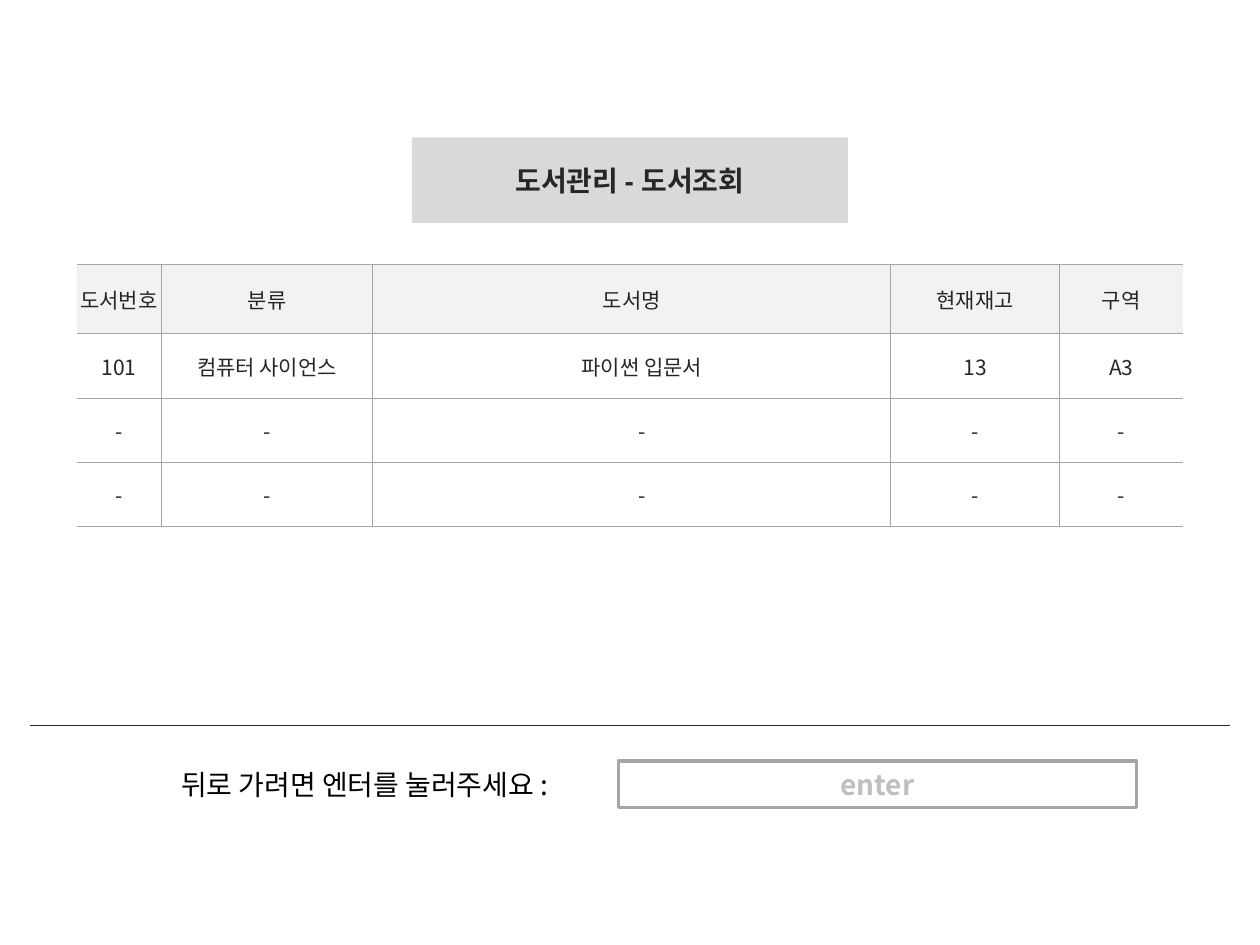
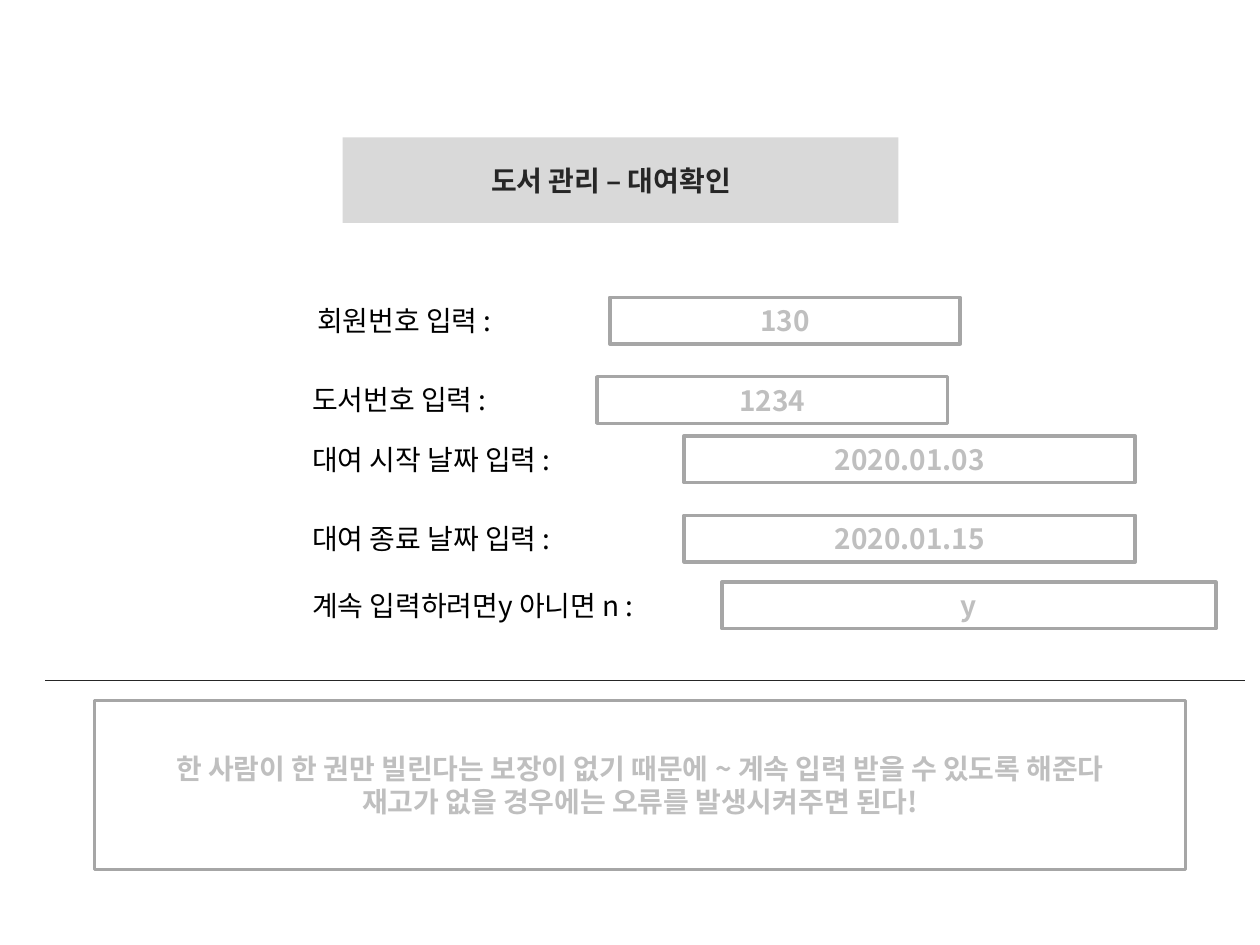
from pptx import Presentation
from pptx.dml.color import RGBColor
from pptx.enum.shapes import MSO_CONNECTOR, MSO_SHAPE
from pptx.enum.text import MSO_ANCHOR, PP_ALIGN
from pptx.oxml.ns import qn
from pptx.util import Inches, Pt
from lxml.etree import SubElement, Element

COLORS = {
    "label": "000000", "dark": "262626", "border": "A6A6A6", "hint": "BFBFBF",
    "title": "D9D9D9", "header": "F2F2F2", "white": "FFFFFF",
}
KOREAN = "Noto Sans CJK KR"


def write(frame, text, color, size=16, bold=False, align=PP_ALIGN.CENTER, latin=KOREAN):
    frame.text = text
    for paragraph in frame.paragraphs:
        paragraph.alignment = align
        for run in paragraph.runs:
            run.font.size = Pt(size)
            run.font.bold = bold
            run.font.name = latin
            run.font.color.rgb = RGBColor.from_string(COLORS[color])
            SubElement(run.font._element, qn("a:ea"), typeface=KOREAN)


def add_box(slide, place, text, fill, color, outlined=True, latin=KOREAN):
    box = slide.shapes.add_shape(MSO_SHAPE.RECTANGLE, *map(Inches, place))
    box.shadow.inherit = False
    box.fill.solid()
    box.fill.fore_color.rgb = RGBColor.from_string(COLORS[fill])
    if outlined:
        box.line.color.rgb = RGBColor.from_string(COLORS["border"])
        box.line.width = Pt(2)
    else:
        box.line.fill.background()
    box.text_frame.vertical_anchor = MSO_ANCHOR.MIDDLE
    write(box.text_frame, text, color, bold=True, latin=latin)
    return box


prs = Presentation()
prs.slide_width = Inches(10)
prs.slide_height = Inches(7.5)

screens = [
    {
        "title": ("도서관리 - 도서조회", 3.27, 3.46, 0.1),
        "divider": (0.24, 5.76),
        "fields": [("뒤로 가려면 엔터를 눌러주세요 :", 1.34, 3.56, "enter", 4.91, 4.11, 6.04)],
    },
    {
        "title": ("도서 관리 – 대여확인", 2.72, 4.41, 0.25),
        "divider": (0.36, 5.4),
        "fields": [
            ("회원번호 입력 :", 2.42, 1.83, "130", 4.84, 2.78, 2.36),
            ("도서번호 입력 :", 2.38, 1.83, "1234", 4.74, 2.78, 2.99),
            ("대여 시작 날짜 입력 :", 2.38, 2.9, "2020.01.03", 5.43, 3.58, 3.46),
            ("대여 종료 날짜 입력 :", 2.38, 2.9, "2020.01.15", 5.43, 3.58, 4.09),
            ("계속 입력하려면y 아니면 n :", 2.38, 3.3, "y", 5.73, 3.92, 4.62),
        ],
    },
]

for screen in screens:
    slide = prs.slides.add_slide(prs.slide_layouts[6])

    title, left, width, right_inset = screen["title"]
    banner = add_box(slide, (left, 1.09, width, 0.68), title, "title", "dark", False, "Arial")
    banner.text_frame.margin_right = Inches(right_inset)

    left, top = screen["divider"]
    divider = slide.shapes.add_connector(
        MSO_CONNECTOR.STRAIGHT, Inches(left), Inches(top), Inches(left + 9.52), Inches(top))
    divider.line.color.rgb = RGBColor.from_string(COLORS["dark"])
    divider.line.width = Pt(0.75)
    SubElement(divider._element.spPr, qn("a:effectLst"))

    for prompt, prompt_left, prompt_width, entry, entry_left, entry_width, top in screen["fields"]:
        label = slide.shapes.add_textbox(
            Inches(prompt_left), Inches(top), Inches(prompt_width), Inches(0.37))
        label.text_frame.word_wrap = True
        write(label.text_frame, prompt, "label", align=PP_ALIGN.LEFT)
        add_box(slide, (entry_left, top, entry_width, 0.37), entry, "white", "hint")

search_slide, rental_slide = prs.slides

books = [
    ("도서번호", "분류", "도서명", "현재재고", "구역"),
    ("101", "컴퓨터 사이언스", "파이썬 입문서", "13", "A3"),
    ("-",) * 5,
    ("-",) * 5,
]
book_table = search_slide.shapes.add_table(
    len(books), 5, Inches(0.61), Inches(2.1), Inches(8.78), Inches(2.09)).table
book_table.first_row = False
book_table.horz_banding = False
for column, width in zip(book_table.columns, (0.67, 1.68, 4.11, 1.34, 0.98)):
    column.width = Inches(width)

for r, book in enumerate(books):
    book_table.rows[r].height = Inches(0.51 if r else 0.55)
    for c, value in enumerate(book):
        cell = book_table.cell(r, c)
        cell.vertical_anchor = MSO_ANCHOR.MIDDLE
        cell.margin_right = cell.margin_top = cell.margin_bottom = 0
        cell.margin_left = Inches(0.16 if r and c == 2 else 0)
        cell.fill.solid()
        cell.fill.fore_color.rgb = RGBColor.from_string(COLORS["white" if r else "header"])
        write(cell.text_frame, value, "dark", size=12)
        properties = cell._tc.get_or_add_tcPr()
        for position, edge in enumerate(("lnL", "lnR", "lnT", "lnB")):
            border = Element(qn(f"a:{edge}"), w=str(Pt(0.75)))
            if (edge, c) in (("lnL", 0), ("lnR", 4)):
                SubElement(border, qn("a:noFill"))
            else:
                ink = SubElement(border, qn("a:solidFill"))
                SubElement(ink, qn("a:srgbClr"), val=COLORS["border"])
            properties.insert(position, border)

add_box(
    rental_slide, (0.75, 5.56, 8.66, 1.34),
    "한 사람이 한 권만 빌린다는 보장이 없기 때문에 ~ 계속 입력 받을 수 있도록 해준다\n"
    "재고가 없을 경우에는 오류를 발생시켜주면 된다!",
    "white", "hint")

prs.save("out.pptx")
